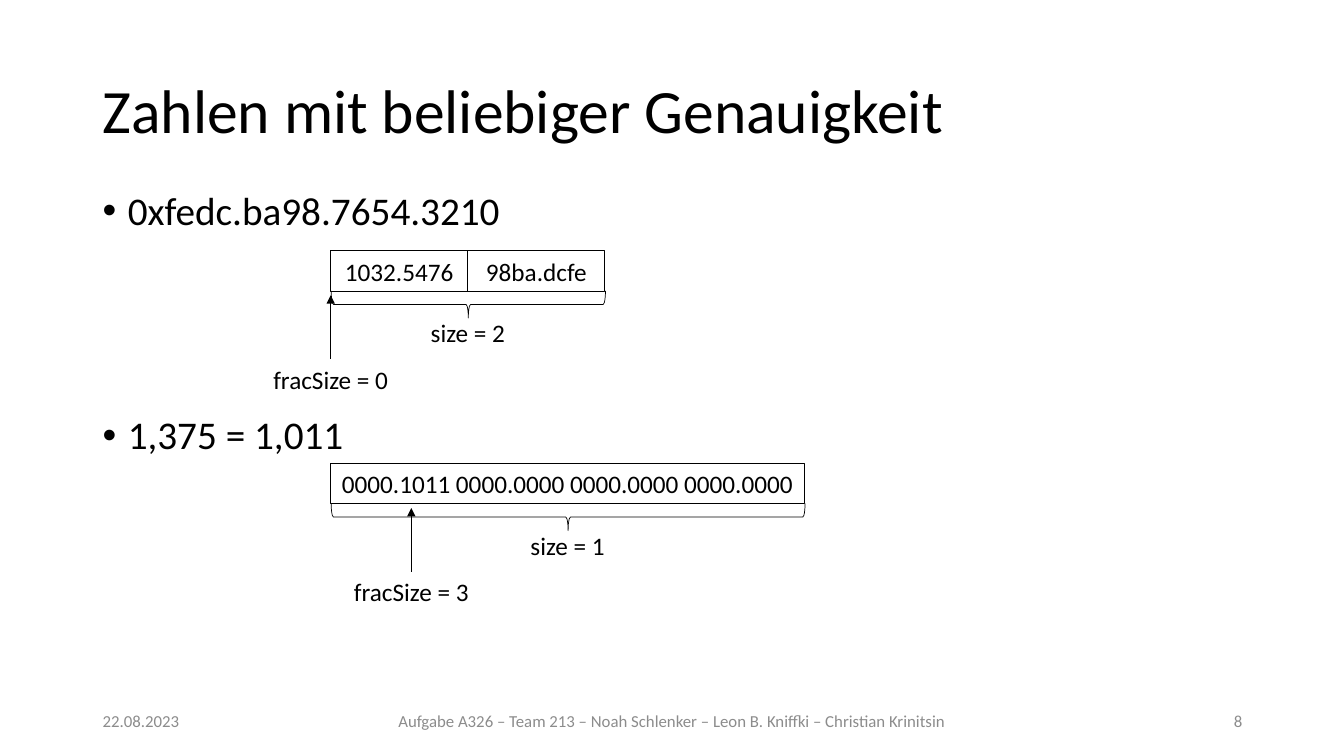
"""Build the slide on numbers of arbitrary precision."""
from dataclasses import dataclass

from lxml.etree import SubElement
from pptx import Presentation
from pptx.dml.color import RGBColor
from pptx.enum.shapes import MSO_CONNECTOR as Connector, MSO_SHAPE as Shape
from pptx.enum.text import MSO_ANCHOR as Anchor, PP_ALIGN as Align
from pptx.oxml.ns import qn
from pptx.shapes.autoshape import Shape as AutoShape
from pptx.shapes.connector import Connector as Line
from pptx.slide import Slide
from pptx.text.text import _Paragraph as Paragraph
from pptx.util import Emu, Pt

BLACK = RGBColor(0x00, 0x00, 0x00)
GREY = RGBColor(0x8C, 0x8C, 0x8C)
SCALE = 9144
CELL_HEIGHT = 40
LABEL_HEIGHT = 40
BRACE_DEPTH = 27
FRAME = {"word_wrap": True, "vertical_anchor": Anchor.MIDDLE}


@dataclass(frozen=True)
class Label:
    """A line of text in a box, measured in px."""
    text: str
    left: int
    top: int
    width: int
    height: int
    size: int = 18
    color: RGBColor = BLACK
    align: Align = Align.CENTER
    line_spacing: float = 1.0


@dataclass(frozen=True)
class Diagram:
    """A row of memory words with its size and fraction marks."""
    left: int
    top: int
    cell_width: int
    words: tuple[str, ...]
    size_text: str
    fraction_text: str
    fraction_left: int


LABELS = (
    Label("Zahlen mit beliebiger Genauigkeit", 92, 40, 1150, 145, 44,
          align=Align.LEFT, line_spacing=0.9),
    Label("22.08.2023", 92, 695, 300, 40, 12, GREY, Align.LEFT),
    Label("Aufgabe A326 – Team 213 – Noah Schlenker – Leon B. Kniffki – Christian Krinitsin",
          379, 695, 575, 40, 12, GREY),
    Label("8", 942, 695, 300, 40, 12, GREY, Align.RIGHT),
)
BULLETS = (("0xfedc.ba98.7654.3210", 0), ("1,375 = 1,011", 130))
DIAGRAMS = (
    Diagram(328, 249, 136, ("1032.5476", "98ba.dcfe"), "size = 2", "fracSize = 0", 328),
    Diagram(328, 460, 470, ("0000.1011 0000.0000 0000.0000 0000.0000",),
            "size = 1", "fracSize = 3", 408),
)


def px(length: int) -> Emu:
    """Turn px into EMU."""
    return Emu(length * SCALE)


def apply_format(target: object, values: dict[str, object]) -> None:
    """Set each named attribute on the target."""
    for name, value in values.items():
        setattr(target, name, value)


def write(paragraph: Paragraph, text: str, size: int, color: RGBColor) -> None:
    """Add one formatted run to a paragraph."""
    run = paragraph.add_run()
    run.text = text
    apply_format(run.font, {"name": "Calibri", "size": Pt(size)})
    run.font.color.rgb = color


def fill_text(shape: AutoShape, label: Label) -> None:
    """Write a label into a shape."""
    apply_format(shape.text_frame, FRAME)
    paragraph = shape.text_frame.paragraphs[0]
    apply_format(paragraph, {"alignment": label.align, "line_spacing": label.line_spacing})
    write(paragraph, label.text, label.size, label.color)


def add_label(slide: Slide, label: Label) -> AutoShape:
    """Add a text box for a label."""
    box = slide.shapes.add_textbox(*map(px, (label.left, label.top, label.width, label.height)))
    fill_text(box, label)
    return box


def add_outline(slide: Slide, kind: Shape, left: int, top: int, width: int, height: int,
                weight: float) -> AutoShape:
    """Add an unfilled shape with a black line."""
    shape = slide.shapes.add_shape(kind, *map(px, (left, top, width, height)))
    shape.shadow.inherit = False
    shape.fill.background()
    shape.line.color.rgb = BLACK
    shape.line.width = Pt(weight)
    return shape


def add_arrow(slide: Slide, label: AutoShape, x: int, start: int, end: int) -> Line:
    """Add an upward arrow that starts on top of a label."""
    arrow = slide.shapes.add_connector(Connector.STRAIGHT, *map(px, (x, start, x, end)))
    arrow.begin_connect(label, 0)
    arrow.line.color.rgb = BLACK
    arrow.line.width = Pt(0.5)
    SubElement(arrow.line._get_or_add_ln(), qn("a:tailEnd"), type="triangle")
    SubElement(arrow._element.spPr, qn("a:effectLst"))
    return arrow


def add_bullets(slide: Slide) -> None:
    """Add the bulleted examples."""
    frame = slide.shapes.add_textbox(*map(px, (92, 185, 1150, 491))).text_frame
    frame.word_wrap = True
    for index, (text, space) in enumerate(BULLETS):
        paragraph = frame.add_paragraph() if index else frame.paragraphs[0]
        apply_format(paragraph, {"line_spacing": 0.9, "space_before": Pt(space)})
        properties = paragraph._p.get_or_add_pPr()
        properties.set("marL", str(px(25)))
        properties.set("indent", str(px(-25)))
        SubElement(properties, qn("a:buFont"), typeface="Arial")
        SubElement(properties, qn("a:buChar"), char="•")
        write(paragraph, text, 28, BLACK)


def add_diagram(slide: Slide, diagram: Diagram) -> None:
    """Draw the words, the brace, the arrow and their labels."""
    top = diagram.top
    for index, word in enumerate(diagram.words):
        place = (diagram.left + index * diagram.cell_width, top, diagram.cell_width, CELL_HEIGHT)
        cell = add_outline(slide, Shape.RECTANGLE, *place, 0.75)
        fill_text(cell, Label(word, *place))
        cell.text_frame.word_wrap = False
    total = diagram.cell_width * len(diagram.words)
    center = diagram.left + total // 2
    brace_top = top + CELL_HEIGHT + (BRACE_DEPTH - total) // 2
    brace = add_outline(slide, Shape.LEFT_BRACE, center - BRACE_DEPTH // 2, brace_top,
                        BRACE_DEPTH, total, 0.5)
    brace.rotation = 270
    add_label(slide, Label(diagram.size_text, center - 60, top + 61, 120, LABEL_HEIGHT))
    fraction = add_label(slide, Label(diagram.fraction_text, diagram.fraction_left - 80,
                                      top + 107, 160, LABEL_HEIGHT))
    add_arrow(slide, fraction, diagram.fraction_left, top + 107, top + 44)


def main() -> None:
    """Build and save the presentation."""
    presentation = Presentation()
    apply_format(presentation, {"slide_width": px(1333), "slide_height": px(750)})
    slide = presentation.slides.add_slide(presentation.slide_layouts[6])
    add_bullets(slide)
    for label in LABELS:
        add_label(slide, label)
    for diagram in DIAGRAMS:
        add_diagram(slide, diagram)
    presentation.save("out.pptx")


if __name__ == "__main__":
    main()
